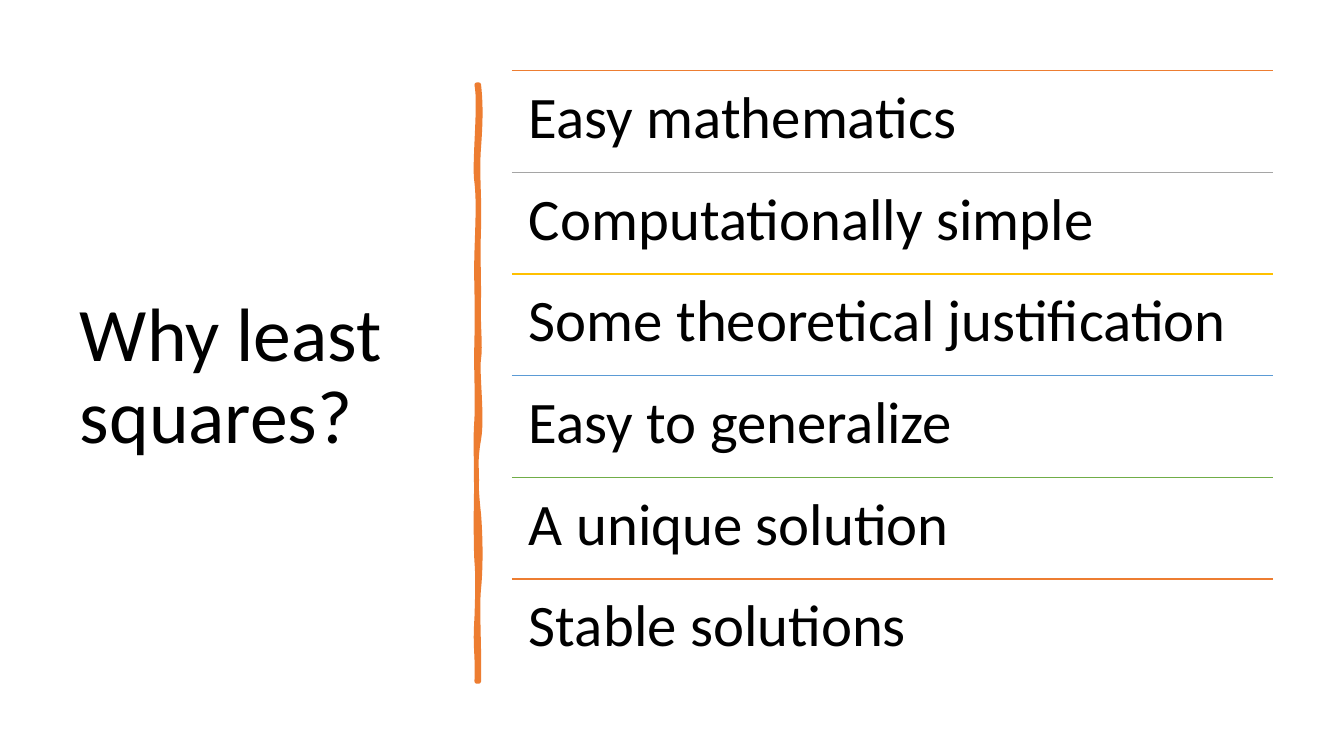
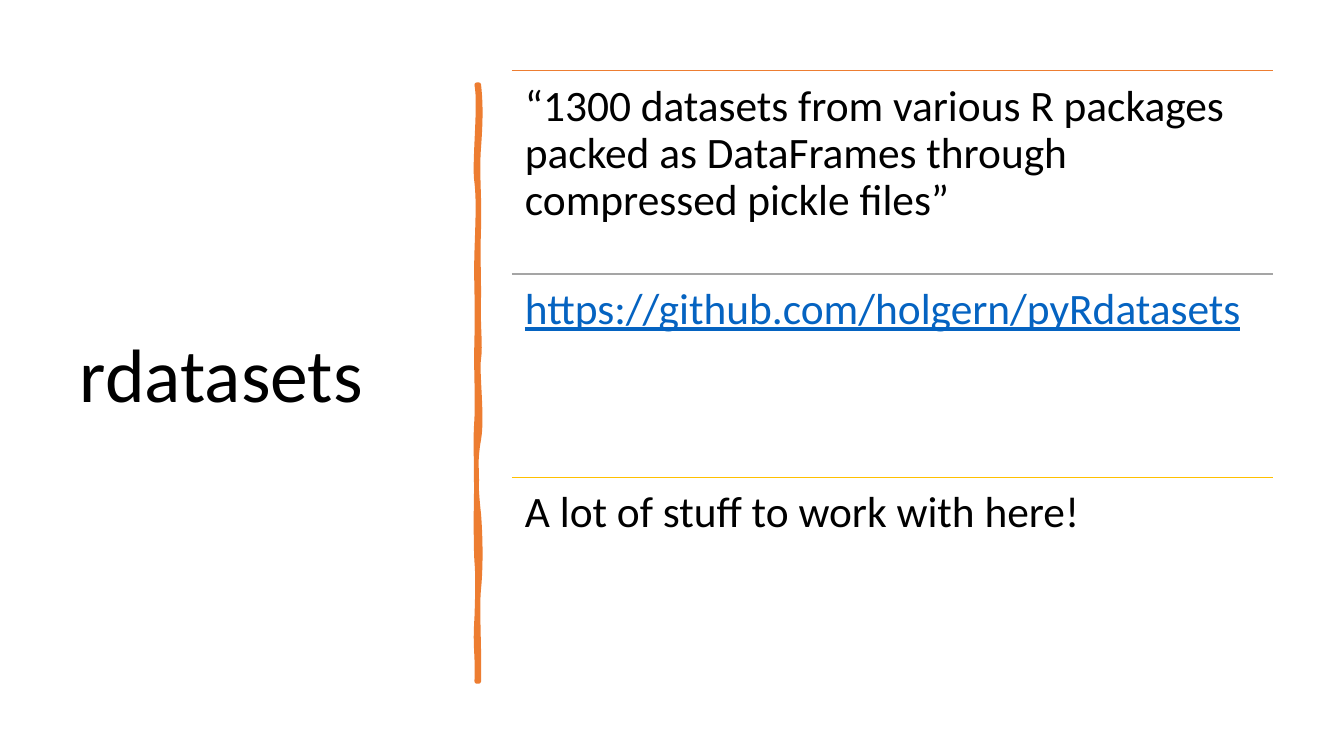
"""Build two slides that set a title beside a ruled list."""
from itertools import chain, cycle

from lxml.etree import SubElement
from pptx import Presentation
from pptx.dml.color import RGBColor
from pptx.enum.shapes import MSO_CONNECTOR
from pptx.enum.text import MSO_ANCHOR
from pptx.oxml.ns import qn
from pptx.util import Pt

PX = 1905
BRUSH_UNIT = 9144
FONT = "Calibri"
BLACK = RGBColor(0x00, 0x00, 0x00)
LINK_BLUE = RGBColor(0x05, 0x63, 0xC1)
ORANGE = RGBColor(0xED, 0x7D, 0x31)
GRAY = RGBColor(0xA5, 0xA5, 0xA5)
GOLD = RGBColor(0xFF, 0xC0, 0x00)
BLUE = RGBColor(0x5B, 0x9B, 0xD5)
GREEN = RGBColor(0x70, 0xAD, 0x47)
RULE_COLORS = (ORANGE, GRAY, GOLD, BLUE, GREEN)

LIST_LEFT, LIST_TOP, LIST_WIDTH, LIST_HEIGHT = 2438, 337, 3624, 2904
BRUSH_START = (475, 84)
BRUSH_EDGE = (
    ((477, 102), (477, 119), (475, 146)),
    ((473, 173), (476, 195), (475, 226)),
    ((474, 257), (475, 262), (475, 294)),
    ((474, 325), (477, 342), (475, 356)),
    ((473, 370), (479, 414), (475, 436)),
    ((471, 457), (472, 484), (475, 510)),
    ((477, 536), (477, 564), (475, 584)),
    ((473, 603), (476, 650), (475, 676)),
    ((474, 676), (473, 676), (473, 676)),
    ((474, 646), (471, 644), (473, 613)),
    ((474, 583), (474, 570), (473, 557)),
    ((472, 544), (472, 495), (473, 477)),
    ((473, 459), (471, 445), (473, 415)),
    ((474, 386), (472, 373), (473, 335)),
    ((474, 298), (472, 281), (473, 250)),
    ((474, 218), (475, 200), (473, 181)),
    ((470, 163), (477, 104), (473, 84)),
    ((474, 84), (474, 84), (475, 84)),
)
BRUSH_BODY = (
    ((475, 115), (472, 125), (475, 152)),
    ((477, 179), (474, 197), (475, 208)),
    ((476, 220), (474, 255), (475, 294)),
    ((476, 333), (473, 343), (475, 362)),
    ((477, 381), (477, 397), (475, 430)),
    ((472, 463), (475, 474), (475, 516)),
    ((475, 557), (474, 553), (475, 578)),
    ((476, 603), (474, 647), (475, 676)),
    ((474, 675), (473, 675), (473, 676)),
    ((470, 649), (474, 632), (473, 613)),
    ((472, 595), (475, 569), (473, 539)),
    ((471, 510), (476, 500), (473, 471)),
    ((470, 442), (477, 420), (473, 386)),
    ((469, 351), (474, 325), (473, 300)),
    ((471, 275), (471, 259), (473, 238)),
    ((474, 216), (474, 185), (473, 164)),
    ((471, 143), (475, 121), (473, 84)),
    ((474, 84), (474, 84), (475, 84)),
)


def bend(outline):
    """Turn each three line segments into a curve, and split edge from body."""
    edge = outline.find(qn("a:path"))
    body = SubElement(outline, qn("a:path"), dict(edge.attrib))
    edge.set("fill", "none")
    body.set("stroke", "0")
    steps = list(edge)
    half = len(steps) // 2
    for step in steps[half:]:
        body.append(step)
    for part in (edge, body):
        lines = part.findall(qn("a:lnTo"))
        for first, second, end in zip(lines[::3], lines[1::3], lines[2::3]):
            curve = part.makeelement(qn("a:cubicBezTo"), {})
            first.addprevious(curve)
            for line in (first, second, end):
                curve.append(line.find(qn("a:pt")))
                part.remove(line)


class Deck:
    """Hold the shared style and the current slide."""

    def __init__(self):
        """Open an empty widescreen presentation."""
        self.presentation = Presentation()
        self.presentation.slide_width = 6400 * PX
        self.presentation.slide_height = 3600 * PX
        self.slide = None

    def text(self, left, top, width, height, words, size, inset,
             color=BLACK, anchor=MSO_ANCHOR.TOP):
        """Add one wrapped paragraph."""
        box = self.slide.shapes.add_textbox(left * PX, top * PX, width * PX, height * PX)
        frame = box.text_frame
        frame.word_wrap = True
        frame.vertical_anchor = anchor
        frame.margin_left = frame.margin_right = inset * PX
        frame.margin_top = frame.margin_bottom = inset * PX
        paragraph = frame.paragraphs[0]
        paragraph.text = words
        paragraph.line_spacing = 0.9
        paragraph.font.name = FONT
        paragraph.font.size = Pt(size)
        paragraph.font.color.rgb = color
        if color == LINK_BLUE:
            paragraph.font.underline = True

    def brush_stroke(self):
        """Draw the wavy upright divider."""
        builder = self.slide.shapes.build_freeform(*BRUSH_START, scale=BRUSH_UNIT)
        builder.add_line_segments(chain.from_iterable(BRUSH_EDGE))
        builder.move_to(*BRUSH_START)
        builder.add_line_segments(chain.from_iterable(BRUSH_BODY))
        stroke = builder.convert_to_shape()
        stroke.shadow.inherit = False
        stroke.fill.solid()
        stroke.fill.fore_color.rgb = ORANGE
        stroke.line.color.rgb = ORANGE
        stroke.line.width = Pt(3.25)
        properties = stroke._element.spPr
        SubElement(properties.find(qn("a:ln")), qn("a:round"))
        bend(properties.find(qn("a:custGeom")).find(qn("a:pathLst")))

    def rule(self, top, color):
        """Draw a thin line across the list."""
        line = self.slide.shapes.add_connector(
            MSO_CONNECTOR.STRAIGHT, LIST_LEFT * PX, top * PX,
            (LIST_LEFT + LIST_WIDTH) * PX, top * PX)
        line.line.color.rgb = color
        line.line.width = Pt(1)
        SubElement(line._element.spPr, qn("a:effectLst"))

    def ruled_list(self, entries, size, inset):
        """Share the list height equally among the entries."""
        pitch = LIST_HEIGHT // len(entries)
        for row, (entry, color) in enumerate(zip(entries, cycle(RULE_COLORS))):
            top = LIST_TOP + row * pitch
            self.rule(top, color)
            ink = LINK_BLUE if entry.startswith("https://") else BLACK
            self.text(LIST_LEFT, top, LIST_WIDTH, pitch, entry, size, inset, ink)

    def add_slide(self, title, entries, size, inset):
        """Add a slide with its title, divider and list."""
        self.slide = self.presentation.slides.add_slide(self.presentation.slide_layouts[6])
        self.text(333, 335, 1795, 2933, title, 54, 48, anchor=MSO_ANCHOR.MIDDLE)
        self.brush_stroke()
        self.ruled_list(entries, size, inset)


def main():
    """Build and save both slides."""
    deck = Deck()
    deck.add_slide("Why least squares?", (
        "Easy mathematics",
        "Computationally simple",
        "Some theoretical justification",
        "Easy to generalize",
        "A unique solution",
        "Stable solutions",
    ), 42, 81)
    deck.add_slide("rdatasets", (
        "“1300 datasets from various R packages packed as DataFrames "
        "through compressed pickle files”",
        "https://github.com/holgern/pyRdatasets",
        "A lot of stuff to work with here!",
    ), 31, 62)
    deck.presentation.save("out.pptx")


if __name__ == "__main__":
    main()
